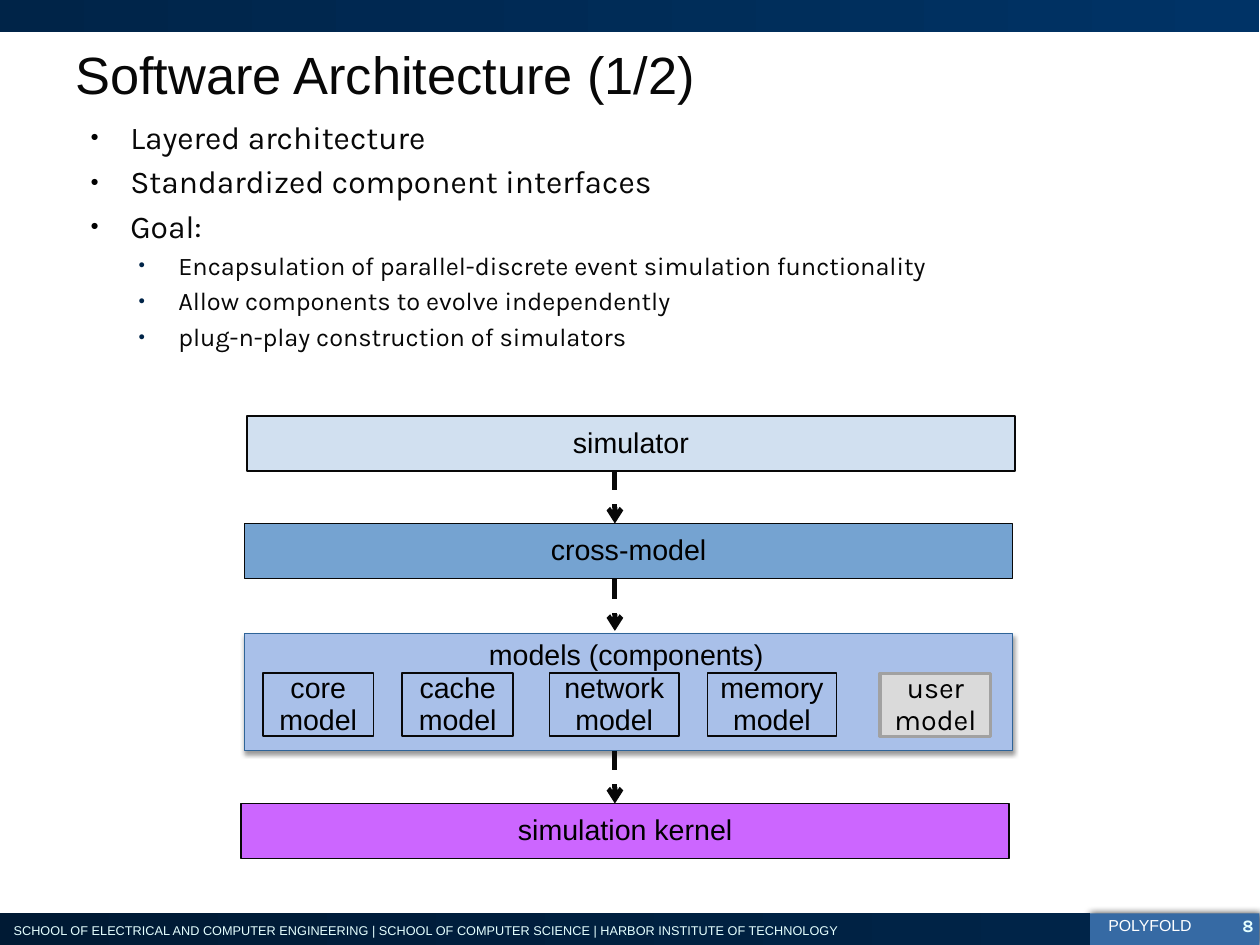
from lxml import etree
from pptx import Presentation
from pptx.dml.color import RGBColor
from pptx.enum.dml import MSO_LINE
from pptx.enum.shapes import MSO_CONNECTOR, MSO_SHAPE
from pptx.enum.text import MSO_ANCHOR, MSO_AUTO_SIZE, PP_ALIGN
from pptx.oxml.ns import qn
from pptx.util import Emu, Inches, Pt

RECT, STRAIGHT, DASH = MSO_SHAPE.RECTANGLE, MSO_CONNECTOR.STRAIGHT, MSO_LINE.DASH
LEFT, CENTER, RIGHT = PP_ALIGN.LEFT, PP_ALIGN.CENTER, PP_ALIGN.RIGHT
TOP, MIDDLE = MSO_ANCHOR.TOP, MSO_ANCHOR.MIDDLE
NO_FIT = MSO_AUTO_SIZE.NONE
INK = "080808"
# The exact 28 by 21 cm screen page, which no two-decimal inch value hits
PAGE = {"slide_width": Emu(10080625), "slide_height": Emu(7559675)}


def color(code):
    """Turn a hex string into a colour."""
    return RGBColor.from_string(code)


def add_xml(parent, tag, **attrs):
    """Append a DrawingML child and return it."""
    return etree.SubElement(parent, qn(tag), attrs)


def set_all(item, values):
    """Set attributes from a dict."""
    for name, value in values.items():
        setattr(item, name, value)


def set_font(part, size, code, face="Arial", bold=False):
    """Format the font of a paragraph or run."""
    set_all(part.font, {"size": Pt(size), "name": face, "bold": bold})
    part.font.color.rgb = color(code)


def set_frame(frame, anchor, pad):
    """Set wrapping, anchor and margins (left and right, top, bottom)."""
    side, top, bottom = map(Inches, pad)
    set_all(frame, {
        "word_wrap": True, "auto_size": NO_FIT, "vertical_anchor": anchor,
        "margin_left": side, "margin_right": side,
        "margin_top": top, "margin_bottom": bottom})


def write(shape, text, size=18, code="000000", face="Arial", bold=False,
          align=CENTER, anchor=MIDDLE, pad=(0.1, 0.05, 0.05), space=0.93):
    """Write one paragraph per line of text."""
    frame = shape.text_frame
    set_frame(frame, anchor, pad)
    frame.text = text
    for para in frame.paragraphs:
        set_all(para, {"alignment": align, "line_spacing": space})
        for run in para.runs:
            set_font(run, size, code, face, bold)


def add_box(slide, at, fill=None, line=None, width=1):
    """Add a rectangle; a pair of fill colours makes a gradient."""
    box = slide.shapes.add_shape(RECT, *map(Inches, at))
    box.shadow.inherit = False
    if isinstance(fill, tuple):
        box.fill.gradient()
        box.fill.gradient_angle = 0
        for stop, code in zip(box.fill.gradient_stops, fill):
            stop.color.rgb = color(code)
    elif fill:
        box.fill.solid()
        box.fill.fore_color.rgb = color(fill)
    else:
        box.fill.background()
    if line:
        box.line.color.rgb = color(line)
        box.line.width = Pt(width)
    else:
        box.line.fill.background()
    return box


def add_shade(box, alpha, blur, dist, angle):
    """Give a box a soft black shadow."""
    effects = box._element.spPr.find(qn("a:effectLst"))
    shade = add_xml(effects, "a:outerShdw", blurRad=str(Pt(blur)),
                    dist=str(Pt(dist)), dir=str(angle * 60000),
                    algn="ctr", rotWithShape="0")
    black = add_xml(shade, "a:srgbClr", val="000000")
    add_xml(black, "a:alpha", val=str(alpha * 1000))


def add_text(slide, at, text, **style):
    """Add a text box."""
    write(slide.shapes.add_textbox(*map(Inches, at)), text, **style)


def add_arrow(slide, x, top, end):
    """Add a dashed arrow that points down."""
    arrow = slide.shapes.add_connector(
        STRAIGHT, Inches(x), Inches(top), Inches(x), Inches(end))
    arrow.line.color.rgb = color(INK)
    set_all(arrow.line, {"width": Pt(3), "dash_style": DASH})
    add_xml(arrow.line._get_or_add_ln(), "a:tailEnd", type="arrow")
    add_xml(arrow._element.spPr, "a:effectLst")


def place(shape, at):
    """Move and size a placeholder."""
    set_all(shape, dict(zip(("left", "top", "width", "height"),
                            map(Inches, at))))


def fill_list(body, items):
    """Write the bullet list from (level, text) pairs."""
    levels = ((20, 0.47, "000000"), (16, 0.89, "002448"))
    frame = body.text_frame
    set_frame(frame, TOP, (0.11, 0.06, 0.06))
    frame.text = "\n".join(text for _, text in items)
    for para, (level, _) in zip(frame.paragraphs, items):
        size, indent, dot = levels[level]
        para.level = level
        set_font(para.runs[0], size, INK, "Karla")
        props = para._p.get_or_add_pPr()
        props.set("marL", str(Inches(indent)))
        props.set("indent", str(Inches(-0.35)))
        add_xml(add_xml(props, "a:buClr"), "a:srgbClr", val=dot)
        add_xml(props, "a:buSzPct", val="45000")
        add_xml(props, "a:buChar", char="●")


def add_bars(slide):
    """Add the bars at the top and bottom of the slide."""
    badge = add_box(slide, (9.53, 7.99, 1.49, 0.28), "366AA4")
    add_shade(badge, 75, 5, 1, 0)
    add_box(slide, (0, 7.99, 9.54, 0.28), ("001A34", "002448"))
    add_text(slide, (0.01, 8.01, 7.53, 0.25),
             "SCHOOL OF ELECTRICAL AND COMPUTER ENGINEERING | SCHOOL OF "
             "COMPUTER SCIENCE | HARBOR INSTITUTE OF TECHNOLOGY",
             size=8, code="E5FFFF", align=LEFT, anchor=TOP,
             pad=(0.11, 0.06, 0.06), space=1)
    add_box(slide, (0, 0, 11.02, 0.28), ("002448", "003366"))
    add_text(slide, (9.6, 7.98, 0.93, 0.26), "POLYFOLD", size=10,
             code="FFFFFF", align=LEFT, anchor=TOP)
    add_text(slide, (10.54, 7.95, 0.43, 0.26), "8", size=11, code="E5FFFF",
             face="Karla", bold=True, align=RIGHT, anchor=TOP,
             pad=(0, 0.06, 0.06), space=1)


def add_layers(slide):
    """Add the layer stack, its models and its arrows."""
    for text, left, top, fill in (("simulator", 2.16, 3.64, "D1E0F0"),
                                  ("cross-model", 2.14, 4.58, "75A3D1"),
                                  ("simulation kernel", 2.11, 7.03, "CC66FF")):
        write(add_box(slide, (left, top, 6.72, 0.48), fill, INK), text)

    group = add_box(slide, (2.14, 5.54, 6.72, 1.03), "A9C0E9", "2F6498", 0.75)
    add_shade(group, 38, 3.1, 1.6, 90)
    for name, left, width in (("core", 2.3, 0.97), ("cache", 3.52, 0.97),
                              ("network", 4.81, 1.13), ("memory", 6.19, 1.13)):
        box = add_box(slide, (left, 5.89, width, 0.55), line=INK)
        write(box, name + "\nmodel")
    user = add_box(slide, (7.7, 5.89, 0.97, 0.55), "DADADA", "A1A1A1", 2)
    write(user, "user\nmodel", face="Karla")
    add_text(slide, (4.18, 5.55, 2.7, 0.38), "models (components)",
             align=LEFT, anchor=TOP)

    for top, end in ((4.12, 4.58), (5.07, 5.52), (6.57, 7.03)):
        add_arrow(slide, 5.38, top, end)


def main():
    """Build and save the slide."""
    deck = Presentation()
    set_all(deck, PAGE)
    slide = deck.slides.add_slide(deck.slide_layouts[1])
    title, body = slide.placeholders
    place(title, (0.55, 0.33, 9.92, 0.64))
    write(title, "Software Architecture (1/2)", size=33, code=INK,
          align=LEFT, pad=(0.11, 0.04, 0.06), space=1)
    place(body, (0.56, 0.97, 9.77, 2.28))
    fill_list(body, (
        (0, "Layered architecture"),
        (0, "Standardized component interfaces"),
        (0, "Goal:"),
        (1, "Encapsulation of parallel-discrete event simulation functionality"),
        (1, "Allow components to evolve independently"),
        (1, "plug-n-play construction of simulators")))
    add_bars(slide)
    add_layers(slide)
    deck.save("out.pptx")


main()
